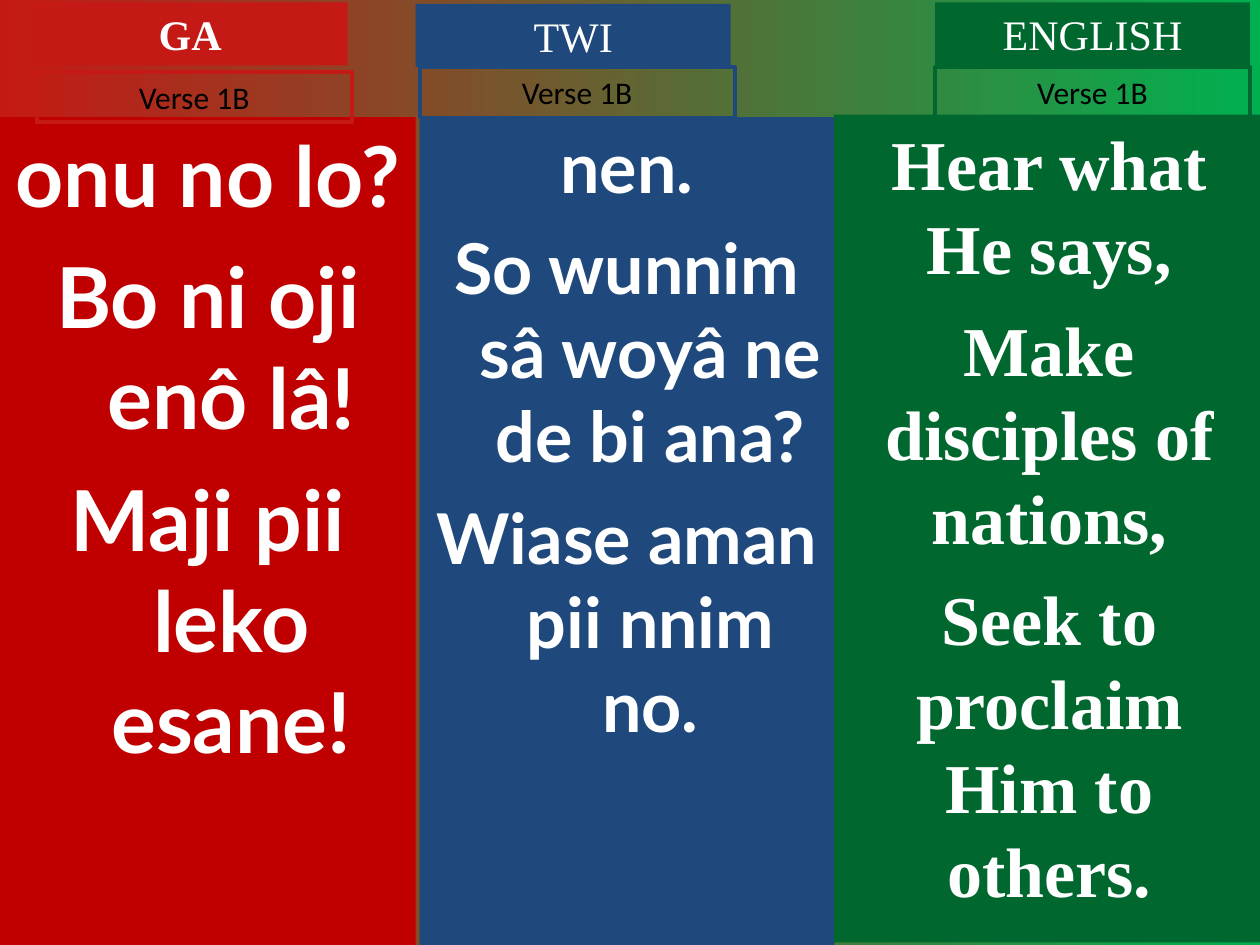
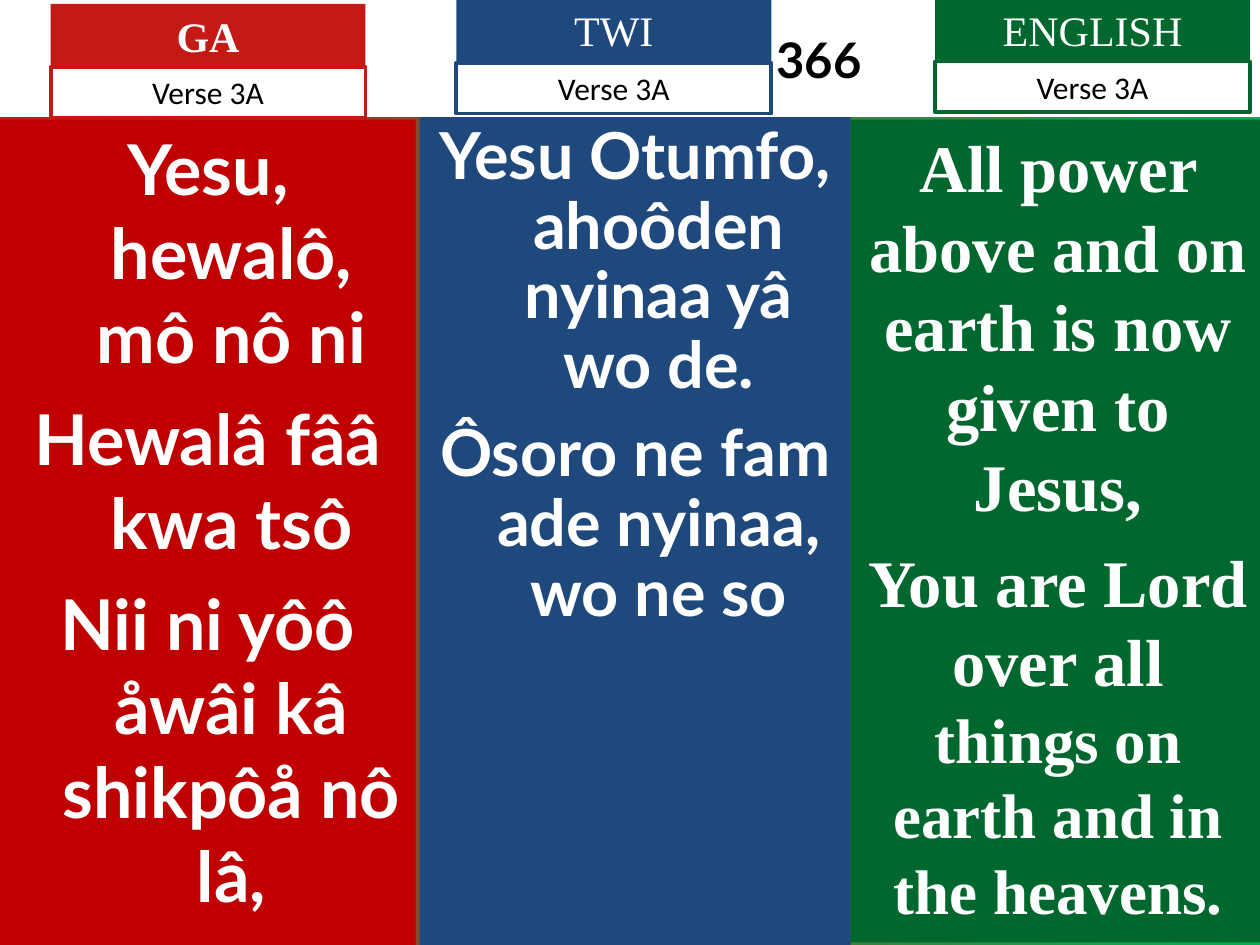
from pptx import Presentation
from pptx.dml.color import RGBColor
from pptx.enum.shapes import MSO_SHAPE
from pptx.enum.text import MSO_ANCHOR, PP_ALIGN
from pptx.util import Cm, Pt

RECT = MSO_SHAPE.RECTANGLE
TOP, MIDDLE = MSO_ANCHOR.TOP, MSO_ANCHOR.MIDDLE
LEFT, CENTER = PP_ALIGN.LEFT, PP_ALIGN.CENTER

WHITE, BLACK = "FFFFFF", "000000"
RED, GREEN = "C51915", "00B050"
SERIF, LATO, SANS = "Times New Roman", "Lato", "Calibri"
TAB_W, HEAD_H, VERSE_H = 6.35, 1.27, 1.02
HANG = 0.95

TONGUES = {
    "GA": dict(panel="C00000", tab=RED, font=LATO, hang=HANG, bold=True),
    "TWI": dict(panel="1F497D", tab="1F497D", font=LATO, hang=HANG, bold=False),
    "ENGLISH": dict(panel="00682F", tab="00682F", font=SERIF, hang=0, bold=False),
}

VERSE_1B = {
    "GA": dict(
        panel=(0, 2.36, 8.38, 16.69), head=(0.66, 0.05), verse=(0.74, 1.45),
        lines=["onu no lo?", "Bo ni oji enô lâ!", "Maji pii leko esane!"],
        style=dict(size=48, gap=12)),
    "TWI": dict(
        panel=(8.46, 2.36, 8.36, 16.69), head=(8.38, 0.08), verse=(8.46, 1.35),
        lines=["nen.", "So wunnim sâ woyâ ne de bi ana?",
               "Wiase aman pii nnim no."],
        style=dict(size=40, gap=10)),
    "ENGLISH": dict(
        panel=(16.81, 2.31, 8.69, 16.69), head=(18.85, 0.05), verse=(18.85, 1.35),
        lines=["Hear what He says,", "Make disciples of nations,",
               "Seek to proclaim Him to others."],
        style=dict(size=40, gap=10)),
}

VERSE_3A = {
    "GA": dict(
        panel=(0, 2.41, 8.38, 16.64), head=(1.02, 0.08), verse=(1.02, 1.35),
        lines=["Yesu, hewalô, mô nô ni", "Hewalâ fââ kwa tsô",
               "Nii ni yôô åwâi kâ shikpôå nô lâ,"],
        style=dict(size=40, gap=10)),
    "TWI": dict(
        panel=(8.46, 2.36, 8.69, 16.69), head=(9.2, -0.03), verse=(9.2, 1.27),
        lines=["Yesu Otumfo, ahoôden nyinaa yâ wo de.",
               "Ôsoro ne fam ade nyinaa, wo ne so"],
        style=dict(size=37, gap=10, pitch=0.9)),
    "ENGLISH": dict(
        panel=(17.15, 2.41, 8.36, 16.59), head=(18.85, -0.03), verse=(18.85, 1.24),
        lines=["All power above and on earth is now given to Jesus,",
               [("You are Lord over all ", 38),
                ("things on earth and in the heavens.", 36)]],
        style=dict(size=38, gap=9)),
}


def paint(code):
    return RGBColor.from_string(code)


def add_box(slide, place, fill=None, line=None):
    box = slide.shapes.add_shape(RECT, *map(Cm, place))
    box.shadow.inherit = False
    if fill:
        box.fill.solid()
        box.fill.fore_color.rgb = paint(fill)
    else:
        box.fill.background()
    if line:
        box.line.color.rgb = paint(line)
        box.line.width = Pt(2.25)
    else:
        box.line.fill.background()
    return box


def write(box, lines, size=24, font=SANS, color=WHITE, bold=False, gap=0,
          hang=0, pitch=None, align=CENTER, anchor=TOP, inset=0.25):
    frame = box.text_frame
    frame.word_wrap = True
    frame.vertical_anchor = anchor
    frame.margin_left = Cm(inset)
    for i, line in enumerate(lines):
        para = frame.add_paragraph() if i else frame.paragraphs[0]
        para.alignment = align
        if i:
            para.space_before = Pt(gap)
        if pitch:
            para.line_spacing = pitch
        if hang:
            props = para._p.get_or_add_pPr()
            props.set("marL", str(Cm(hang)))
            props.set("indent", str(-Cm(hang)))
        parts = [(line, size)] if isinstance(line, str) else line
        for words, points in parts:
            run = para.add_run()
            run.text = words
            run.font.size = Pt(points)
            run.font.name = font
            run.font.bold = bold
            run.font.color.rgb = paint(color)


def add_tongue(slide, name, look, part, verse):
    panel = add_box(slide, part["panel"], fill=look["panel"])
    write(panel, part["lines"], font=look["font"], bold=True,
          hang=look["hang"], **part["style"])
    head = add_box(slide, (*part["head"], TAB_W, HEAD_H), fill=look["tab"])
    write(head, [name], font=SERIF, bold=look["bold"])
    label = add_box(slide, (*part["verse"], TAB_W, VERSE_H), line=look["tab"])
    write(label, [verse], size=18, color=BLACK)


def add_title(slide, number):
    band = add_box(slide, (0, 0, 25.4, 2.36), fill=WHITE)
    write(band, [number], size=28, font=LATO, color=BLACK, bold=True,
          align=LEFT, anchor=MIDDLE, inset=15.65)


def add_page(deck, verse, parts, number=None):
    slide = deck.slides.add_slide(deck.slide_layouts[6])
    fill = slide.background.fill
    fill.gradient()
    fill.gradient_angle = 0
    for stop, code in zip(fill.gradient_stops, (RED, GREEN)):
        stop.color.rgb = paint(code)
    if number:
        add_title(slide, number)
    for name, look in TONGUES.items():
        add_tongue(slide, name, look, parts[name], verse)


def main():
    deck = Presentation()
    deck.slide_width, deck.slide_height = Cm(25.4), Cm(19.05)
    add_page(deck, "Verse 1B", VERSE_1B)
    add_page(deck, "Verse 3A", VERSE_3A, number="366")
    deck.save("out.pptx")


if __name__ == "__main__":
    main()
